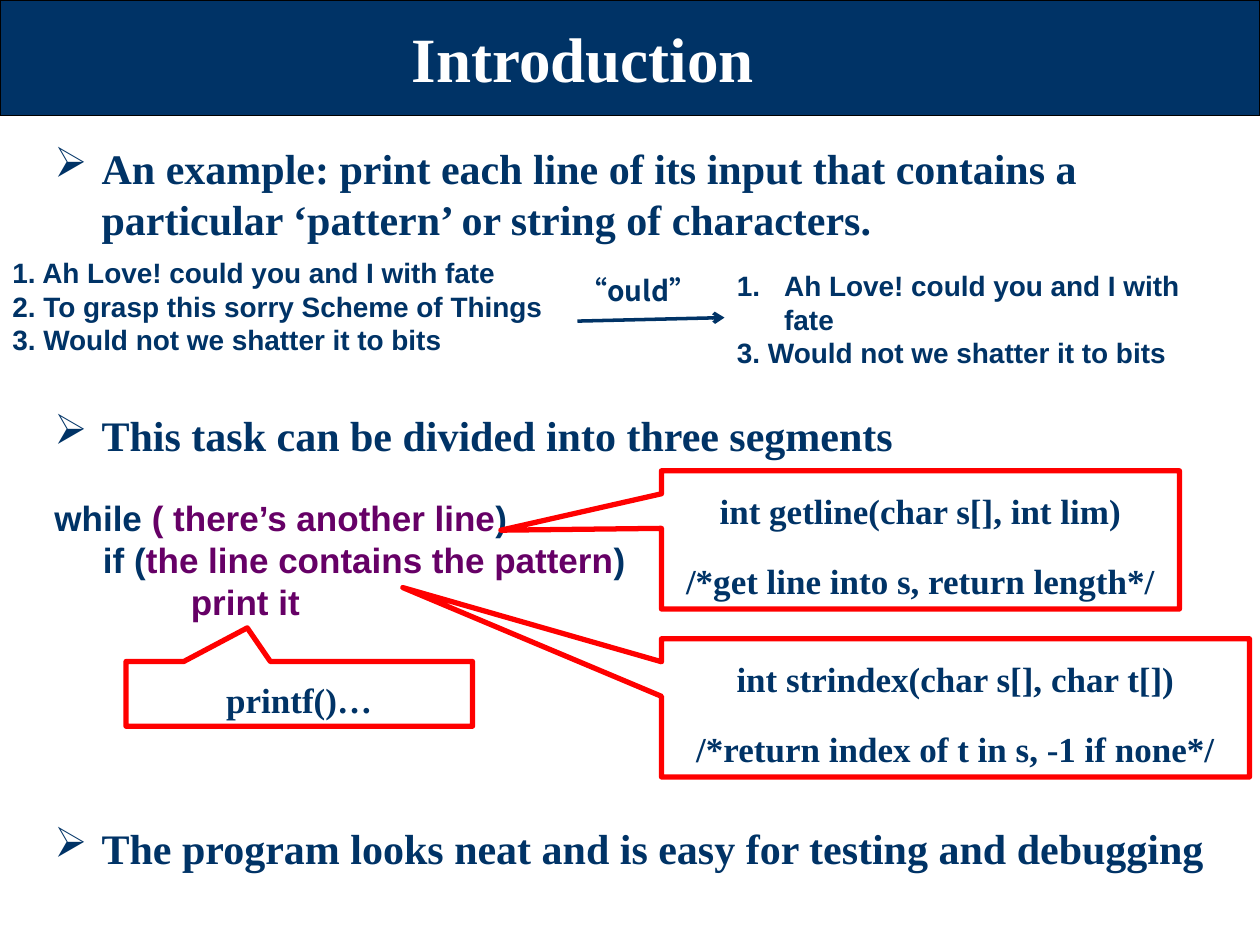
from lxml.etree import SubElement
from pptx import Presentation
from pptx.dml.color import RGBColor
from pptx.enum.shapes import MSO_CONNECTOR as Connector, MSO_SHAPE as Shape
from pptx.enum.text import MSO_ANCHOR as Anchor, PP_ALIGN as Align
from pptx.oxml.ns import qn
from pptx.util import Pt

NAVY, PURPLE, RED, WHITE, BLACK = "003366", "660066", "FF0000", "FFFFFF", "000000"
SERIF, SANS, CJK = "Times New Roman", "Arial", "Noto Sans CJK SC"


def color(value):
    return RGBColor.from_string(value)


def style_font(font, name, size, value=NAVY):
    font.name = name
    font.size = Pt(size)
    font.bold = True
    font.color.rgb = color(value)


def style_runs(text_frame, name, size, value=NAVY):
    for paragraph in text_frame.paragraphs:
        for run in paragraph.runs:
            style_font(run.font, name, size, value)


def add_text(slide, box, text, name, size, value=NAVY):
    shape = slide.shapes.add_textbox(*map(Pt, box))
    text_frame = shape.text_frame
    text_frame.word_wrap = True
    text_frame.text = text
    style_runs(text_frame, name, size, value)
    return text_frame


def add_marker(paragraph, indent, tag, **attributes):
    properties = paragraph._p.get_or_add_pPr()
    properties.set("marL", str(Pt(indent)))
    properties.set("indent", str(-Pt(indent)))
    SubElement(properties, qn(tag), **attributes)


def add_title(slide, box):
    left, top, width, height = box
    band = slide.shapes.add_shape(Shape.RECTANGLE, *map(Pt, box))
    band.shadow.inherit = False
    band.fill.solid()
    band.fill.fore_color.rgb = color(NAVY)
    band.line.color.rgb = color(BLACK)
    band.line.width = Pt(0.75)
    text_frame = add_text(slide, (left + 18, top + 6, width - 90, height - 12),
                          "Introduction", SERIF, 36, WHITE)
    text_frame.vertical_anchor = Anchor.MIDDLE
    text_frame.paragraphs[0].alignment = Align.CENTER


def add_points(slide, box, points):
    text_frame = add_text(slide, box, "\n".join(text for text, gap in points), SERIF, 24)
    for paragraph, (text, gap) in zip(text_frame.paragraphs, points):
        paragraph.space_before = Pt(gap)
        add_marker(paragraph, 27, "a:buChar", char="➢")


def add_search_example(slide, box):
    left, top, width, height = box
    add_text(slide, (left, top, 330, height),
             "1. Ah Love! could you and I with fate\n"
             "2. To grasp this sorry Scheme of Things\n"
             "3. Would not we shatter it to bits", SANS, 16)
    matches = add_text(slide, (left + 414, top + 7.5, 300, height),
                       "Ah Love! could you and I with fate\n"
                       "3. Would not we shatter it to bits", SANS, 16)
    add_marker(matches.paragraphs[0], 27, "a:buAutoNum", type="arabicPeriod")
    add_text(slide, (left + 324, top + 10.5, 84, 27), "“ould”", CJK, 16)
    arrow = slide.shapes.add_connector(
        Connector.STRAIGHT, Pt(left + 330), Pt(top + 41), Pt(left + 414), Pt(top + 39))
    arrow.line.color.rgb = color(NAVY)
    arrow.line.width = Pt(2)
    SubElement(arrow.line._get_or_add_ln(), qn("a:tailEnd"), type="arrow")
    SubElement(arrow._element.spPr, qn("a:effectLst"))


def add_code(slide, box, lines):
    text_frame = add_text(slide, box, "", SANS, 20)
    for index, parts in enumerate(lines):
        paragraph = text_frame.add_paragraph() if index else text_frame.paragraphs[0]
        for text, value in parts:
            run = paragraph.add_run()
            run.text = text
            style_font(run.font, SANS, 20, value)


def add_callout(slide, box, pointer, text):
    callout = slide.shapes.add_shape(Shape.RECTANGULAR_CALLOUT, *map(Pt, box))
    callout.shadow.inherit = False
    callout.fill.background()
    callout.line.color.rgb = color(RED)
    callout.line.width = Pt(3)
    for index, value in enumerate(pointer):
        callout.adjustments[index] = value
    text_frame = callout.text_frame
    text_frame.word_wrap = True
    text_frame.vertical_anchor = Anchor.MIDDLE
    text_frame.text = text
    style_runs(text_frame, SERIF, 20)
    for index, paragraph in enumerate(text_frame.paragraphs):
        paragraph.alignment = Align.CENTER
        paragraph.line_spacing = 1.25
        paragraph.space_before = Pt(10 if index else 0)


def main():
    presentation = Presentation()
    presentation.slide_width, presentation.slide_height = Pt(720), Pt(540)
    slide = presentation.slides.add_slide(presentation.slide_layouts[6])
    add_title(slide, (0, 0, 720, 66))
    add_points(slide, (24, 78, 678, 444), [
        ("An example: print each line of its input that contains a "
         "particular ‘pattern’ or string of characters.", 0),
        ("This task can be divided into three segments", 95),
        ("The program looks neat and is easy for testing and debugging", 207),
    ])
    add_search_example(slide, (0, 142.5, 714, 82))
    add_code(slide, (24, 280, 378, 80), [
        [("while ", NAVY), ("( there’s another line", PURPLE), (")", NAVY)],
        [("     if (", NAVY), ("the line contains the pattern", PURPLE), (")", NAVY)],
        [("              ", NAVY), ("print it", PURPLE)],
    ])
    add_callout(slide, (378, 269, 296, 79), (-0.81, -0.07),
                "int getline(char s[], int lim)\n/*get line into s, return length*/")
    add_callout(slide, (378, 365, 336, 79), (-0.94, -0.87),
                "int strindex(char s[], char t[])\n/*return index of t in s, -1 if none*/")
    add_callout(slide, (72, 378, 198, 37), (-0.15, -1.02), "printf()…")
    presentation.save("out.pptx")


if __name__ == "__main__":
    main()
